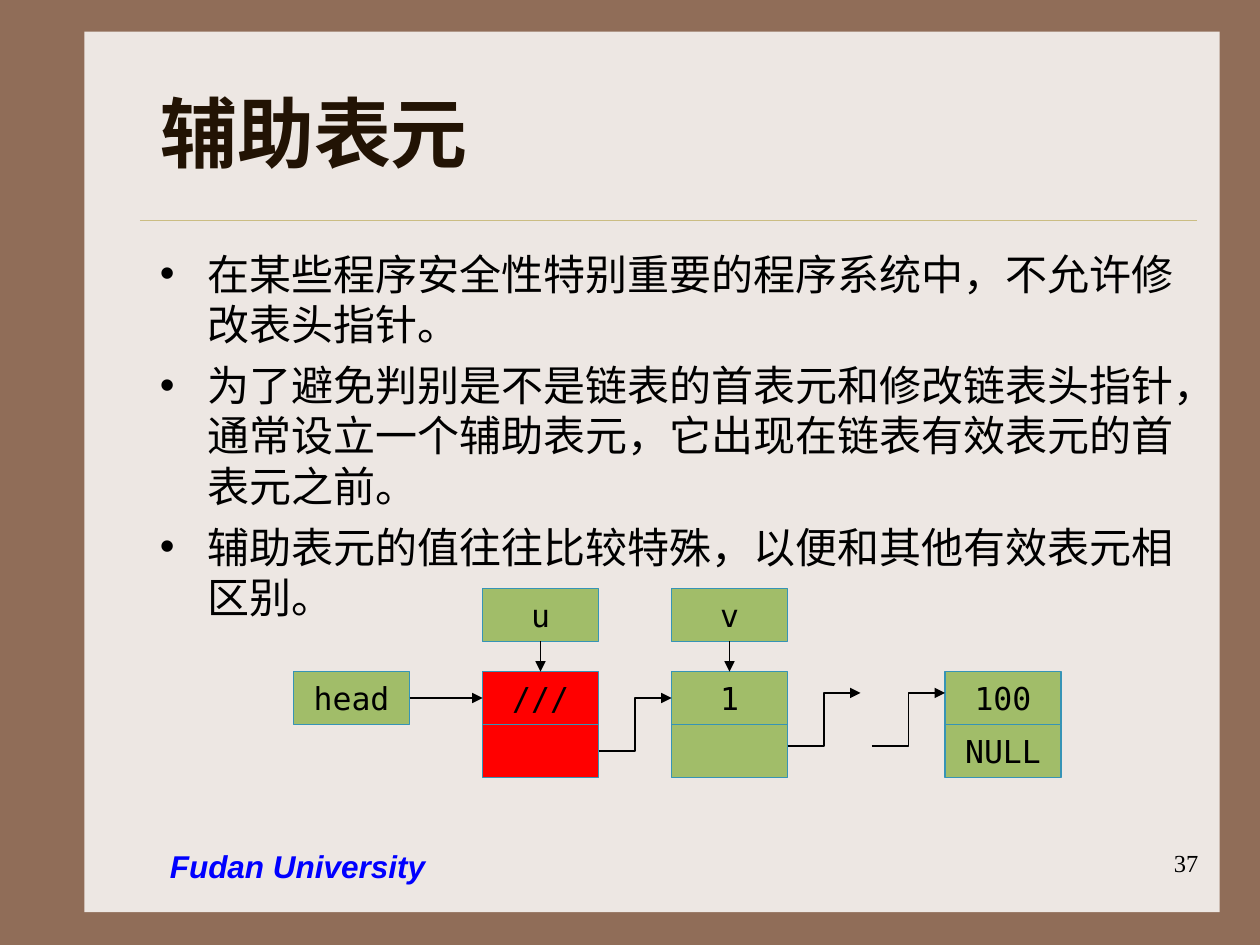
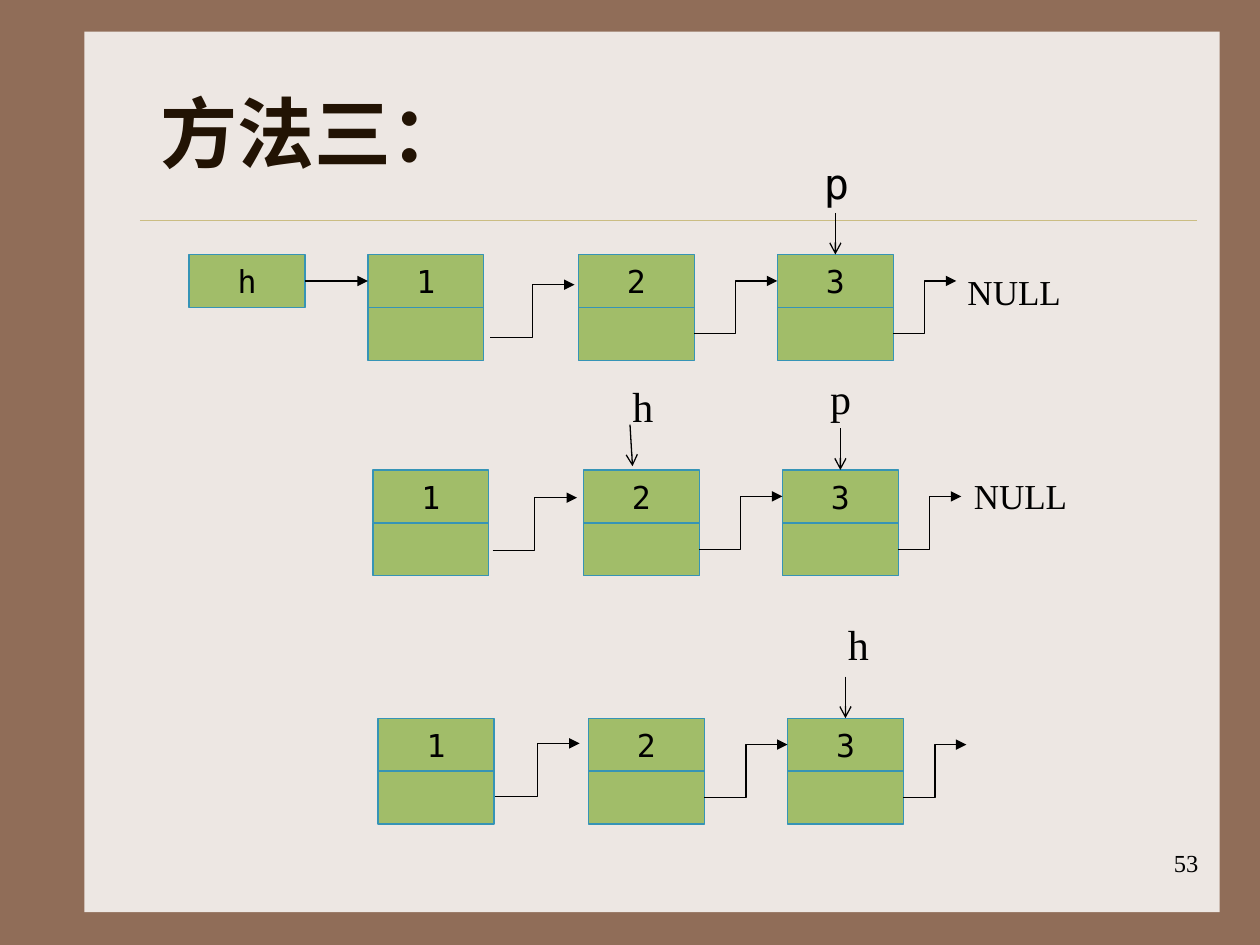
from dataclasses import dataclass
from lxml.etree import SubElement
from pptx import Presentation
from pptx.dml.color import RGBColor
from pptx.enum.shapes import MSO_CONNECTOR, MSO_SHAPE
from pptx.enum.text import MSO_ANCHOR, MSO_AUTO_SIZE, PP_ALIGN
from pptx.oxml.ns import qn
from pptx.util import Inches, Pt


@dataclass(frozen=True)
class Theme:
    frame: str = "906D58"
    panel: str = "EDE7E3"
    rule: str = "CBBD83"
    title: str = "221304"
    ink: str = "000000"
    cell: str = "A1BD69"
    sentinel: str = "FF0000"
    edge: str = "3694B6"
    school: str = "0000FF"
    mono: str = "DejaVu Sans Mono"
    serif: str = "Times New Roman"
    sans: str = "Arial"
    title_pt: int = 44
    body_pt: int = 24
    null_pt: int = 20
    cell_pt: int = 18
    page_pt: int = 14


T = Theme()
CELL_W, CELL_H = 0.92, 0.42

SENTINEL = {
    "title": "辅助表元",
    "page": "37",
    "school": "Fudan University",
    "body": [
        "在某些程序安全性特别重要的程序系统中，不允许修改表头指针。",
        "为了避免判别是不是链表的首表元和修改链表头指针，通常设立一个辅助表元，它出现在链表有效表元的首表元之前。",
        "辅助表元的值往往比较特殊，以便和其他有效表元相区别。",
    ],
    "head": ("head", 2.33),
    "nodes": [
        ("///", "", 3.83, T.sentinel),
        ("1", "", 5.33, T.cell),
        ("100", "NULL", 7.5, T.cell),
    ],
    "pointers": [("u", 3.83), ("v", 5.33)],
    "links": [(4.75, 5.96), (6.25, 5.92), (6.92, 5.92)],
    "node_top": 5.33,
    "pointer_top": 4.67,
}

METHOD = {
    "title": "方法三：",
    "page": "53",
    "values": ["1", "2", "3"],
    "offsets": [0, 1.67, 3.25],
    "rows": [
        {"at": (2.92, 2.02), "first_link": (3.89, 2.68), "null": (7.58, 2.1),
         "labels": [("p", 6.44, 1.2, T.mono)],
         "arrows": [(6.63, 1.69, 6.63, 2.02)]},
        {"at": (2.96, 3.73), "first_link": (3.91, 4.37), "null": (7.63, 3.72),
         "labels": [("p", 6.49, 2.91, T.serif), ("h", 4.92, 2.97, T.serif)],
         "arrows": [(6.67, 3.4, 6.67, 3.73), (5, 3.37, 5.02, 3.7)]},
        {"at": (3, 5.7), "first_link": (3.93, 6.32), "null": None,
         "labels": [("h", 6.63, 4.86, T.serif)],
         "arrows": [(6.71, 5.37, 6.71, 5.7)]},
    ],
    "head": ("h", 1.5),
}


def rgb(color):
    return RGBColor.from_string(color)


def add_run(p, text, font, size, color=T.ink, bold=False, italic=False):
    r = p.add_run()
    r.text = text
    r.font.name, r.font.size = font, Pt(size)
    r.font.bold, r.font.italic = bold, italic
    r.font.color.rgb = rgb(color)


def add_text(s, text, box, font, size, align=PP_ALIGN.LEFT, **style):
    tf = s.shapes.add_textbox(*map(Inches, box)).text_frame
    tf.word_wrap = True
    p = tf.paragraphs[0]
    p.alignment = align
    add_run(p, text, font, size, **style)


def add_rect(s, box, fill, edge=None):
    sp = s.shapes.add_shape(MSO_SHAPE.RECTANGLE, *map(Inches, box))
    sp.shadow.inherit = False
    sp.fill.solid()
    sp.fill.fore_color.rgb = rgb(fill)
    if edge:
        sp.line.color.rgb = rgb(edge)
        sp.line.width = Pt(0.75)
    else:
        sp.line.fill.background()
    return sp


def add_line(s, ends, head="triangle", kind=MSO_CONNECTOR.STRAIGHT, color=T.ink, width=0.75):
    cx = s.shapes.add_connector(kind, *map(Inches, ends))
    cx.line.color.rgb = rgb(color)
    cx.line.width = Pt(width)
    if head:
        SubElement(cx.line._get_or_add_ln(), qn("a:tailEnd"), type=head)
    SubElement(cx._element.spPr, qn("a:effectLst"))
    return cx


def add_link(s, x, y, width, rise=CELL_H):
    add_line(s, (x, y, x + width, y - rise), kind=MSO_CONNECTOR.ELBOW)


def add_cell(s, text, x, y, fill=T.cell):
    sp = add_rect(s, (x, y, CELL_W, CELL_H), fill, T.edge)
    if text:
        tf = sp.text_frame
        tf.word_wrap = False
        tf.vertical_anchor = MSO_ANCHOR.MIDDLE
        p = tf.paragraphs[0]
        p.alignment = PP_ALIGN.CENTER
        add_run(p, text, T.mono, T.cell_pt)


def add_node(s, value, link, x, y, fill=T.cell):
    add_cell(s, value, x, y, fill)
    add_cell(s, link, x, y + CELL_H, fill)


def add_head(s, head, y, target):
    text, x = head
    mid = y + CELL_H / 2
    add_cell(s, text, x, y)
    add_line(s, (x + CELL_W, mid, target, mid))


def dress_master(prs, s):
    master = prs.slide_master
    master.background.fill.solid()
    master.background.fill.fore_color.rgb = rgb(T.frame)
    panel = add_rect(s, (0.67, 0.25, 9.01, 6.99), T.panel)
    rule = add_line(s, (1.11, 1.75, 9.5, 1.75), None, color=T.rule, width=0.25)
    for i, part in enumerate((panel, rule)):
        master.shapes._spTree.insert(2 + i, part._element)


def new_slide(prs, content):
    s = prs.slides.add_slide(prs.slide_layouts[5])
    title = s.shapes.title
    title.left, title.top, title.width, title.height = map(Inches, (1.17, 0.42, 8.33, 1.25))
    tf = title.text_frame
    tf.auto_size = MSO_AUTO_SIZE.NONE
    tf.vertical_anchor = MSO_ANCHOR.MIDDLE
    p = tf.paragraphs[0]
    p.alignment = PP_ALIGN.LEFT
    add_run(p, content["title"], T.mono, T.title_pt, T.title, bold=True)
    add_text(s, content["page"], (7.53, 6.68, 2.08, 0.5), T.serif, T.page_pt, PP_ALIGN.RIGHT)
    return s


def add_bullets(s, items, box):
    tf = s.shapes.add_textbox(*map(Inches, box)).text_frame
    tf.word_wrap = True
    for i, text in enumerate(items):
        p = tf.paragraphs[0] if i == 0 else tf.add_paragraph()
        if i:
            p.space_before = Pt(6)
        pPr = p._p.get_or_add_pPr()
        pPr.set("marL", str(Inches(0.38)))
        pPr.set("indent", str(-Inches(0.38)))
        SubElement(pPr, qn("a:buFont"), typeface=T.sans)
        SubElement(pPr, qn("a:buChar"), char="•")
        add_run(p, text, T.mono, T.body_pt)


def build_sentinel(s, c):
    add_bullets(s, c["body"], (1.17, 1.92, 8.33, 4.5))
    top, pointer_top = c["node_top"], c["pointer_top"]
    for value, link, x, fill in c["nodes"]:
        add_node(s, value, link, x, top, fill)
    add_head(s, c["head"], top, c["nodes"][0][2])
    for text, x in c["pointers"]:
        mid = x + CELL_W / 2
        add_cell(s, text, x, pointer_top)
        add_line(s, (mid, pointer_top + CELL_H, mid, top))
    for x, y in c["links"]:
        add_link(s, x, y, 0.58)
    add_text(s, c["school"], (1.25, 6.67, 2.83, 0.4), T.sans, T.cell_pt,
             color=T.school, bold=True, italic=True)


def build_method(s, c):
    for row in c["rows"]:
        left, top = row["at"]
        xs = [left + offset for offset in c["offsets"]]
        for value, x in zip(c["values"], xs):
            add_node(s, value, "", x, top)
        link_y = top + CELL_H * 1.5
        add_link(s, *row["first_link"], 0.67)
        add_link(s, xs[1] + CELL_W, link_y, xs[2] - xs[1] - CELL_W)
        add_link(s, xs[2] + CELL_W, link_y, 0.5)
        if row["null"]:
            add_text(s, "NULL", (*row["null"], 0.99, 0.44), T.serif, T.null_pt)
        for text, x, y, font in row["labels"]:
            add_text(s, text, (x, y, 0.42, 0.5), font, T.body_pt)
        for ends in row["arrows"]:
            add_line(s, ends, "arrow")
    left, top = c["rows"][0]["at"]
    add_head(s, c["head"], top, left)


def main():
    prs = Presentation()
    prs.slide_width, prs.slide_height = Inches(10), Inches(7.5)
    for i, (content, build) in enumerate([(SENTINEL, build_sentinel), (METHOD, build_method)]):
        s = new_slide(prs, content)
        if i == 0:
            dress_master(prs, s)
        build(s, content)
    prs.save("out.pptx")


if __name__ == "__main__":
    main()
